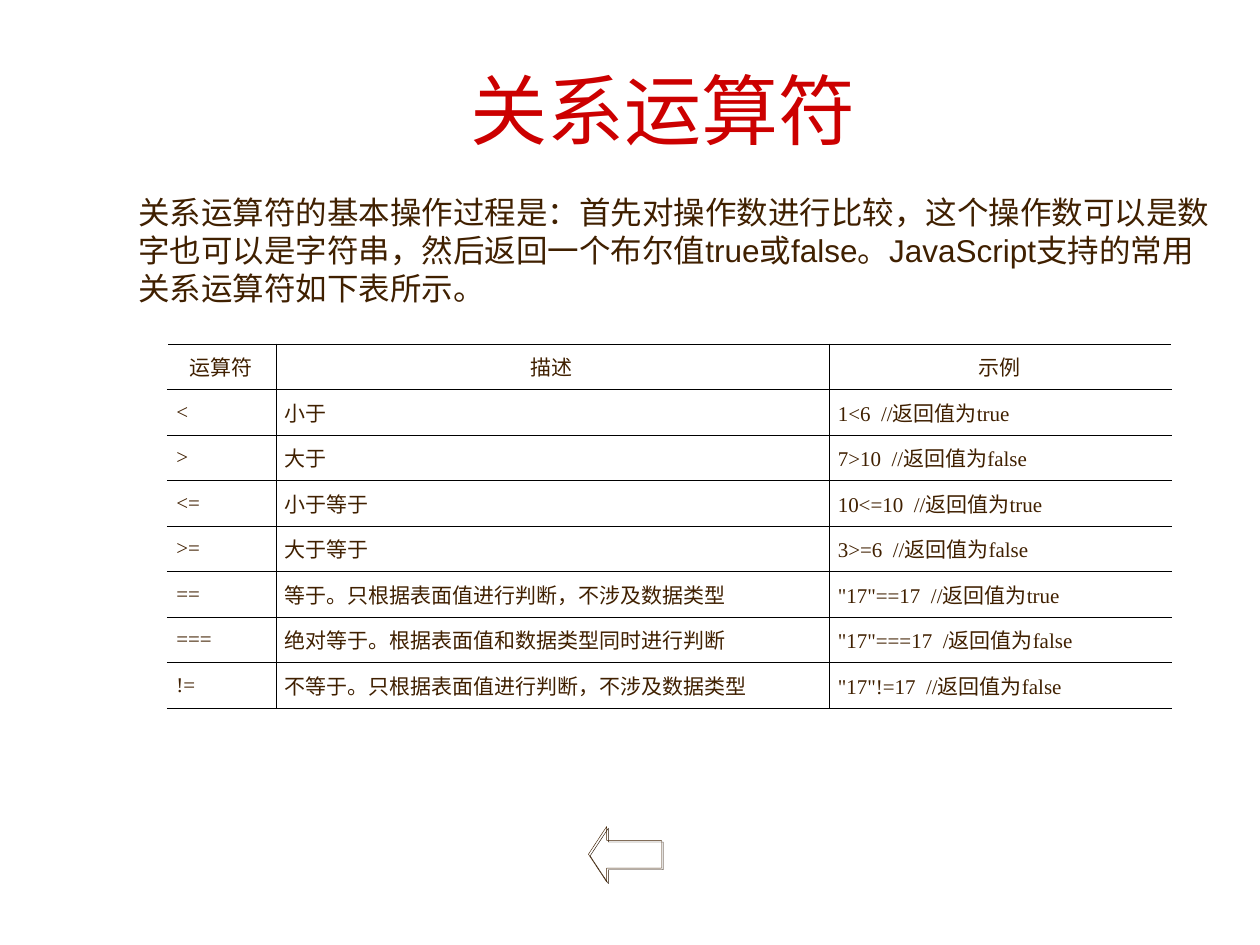
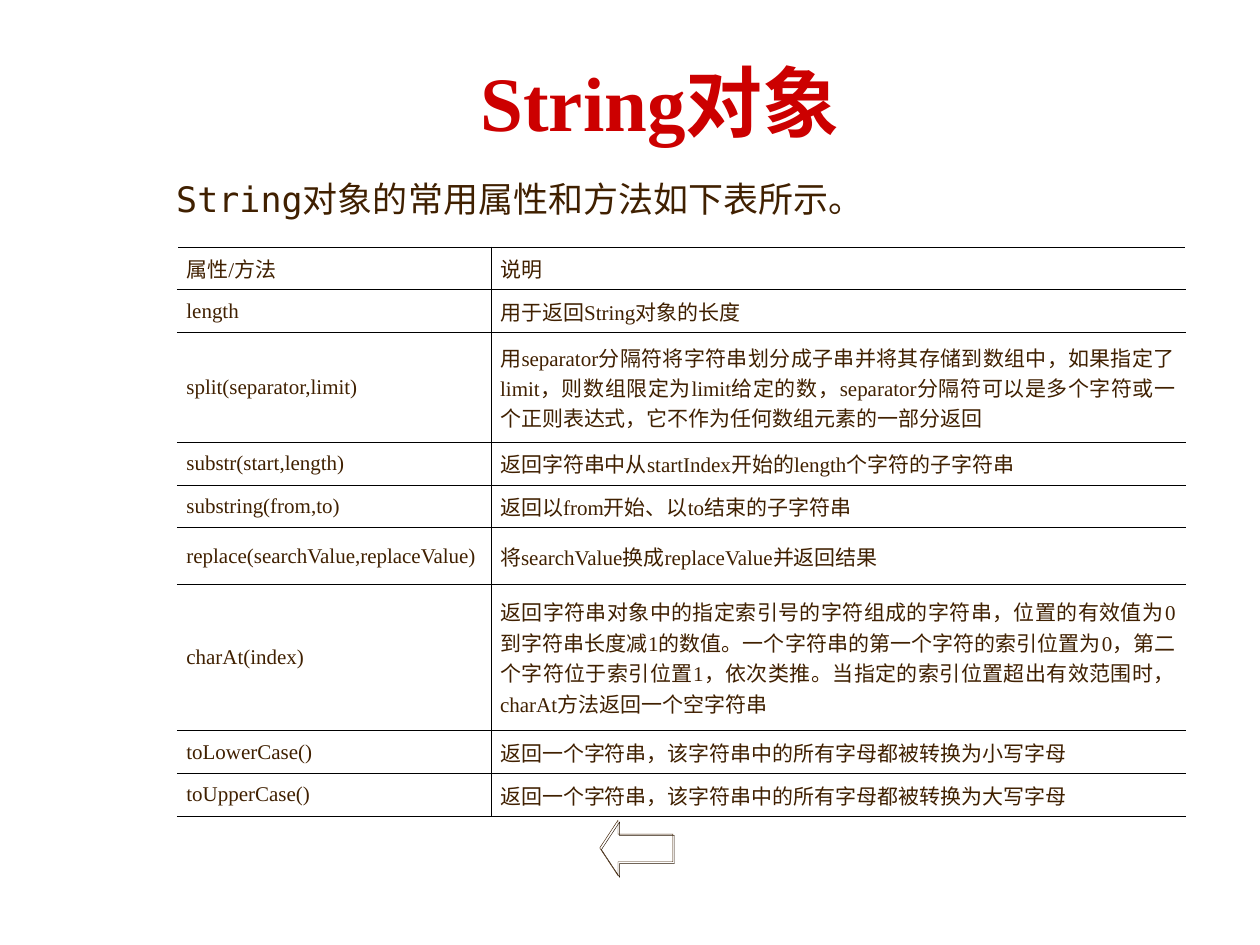
"""Build two slides of JavaScript reference tables."""
from lxml import etree
from pptx import Presentation
from pptx.dml.color import RGBColor
from pptx.enum.shapes import MSO_SHAPE
from pptx.enum.text import MSO_ANCHOR, PP_ALIGN
from pptx.oxml import parse_xml
from pptx.oxml.ns import nsdecls, qn
from pptx.util import Inches, Pt

LEFT_ARROW = MSO_SHAPE.LEFT_ARROW
MIDDLE, TOP = MSO_ANCHOR.MIDDLE, MSO_ANCHOR.TOP
LEFT, CENTER, JUSTIFY = PP_ALIGN.LEFT, PP_ALIGN.CENTER, PP_ALIGN.JUSTIFY

RED = RGBColor(0xCC, 0x00, 0x00)
BROWN = RGBColor(0x40, 0x20, 0x00)
SHADOW = RGBColor(0x26, 0x13, 0x00)
BLACK = RGBColor(0x00, 0x00, 0x00)

SERIF = "Times New Roman"
TITLE_FORMAT = {"name": SERIF, "size": Pt(44)}
CELL_FORMAT = {"name": SERIF, "size": Pt(12)}
CELL_MARGINS = {"margin_left": Inches(0.07), "margin_right": Inches(0.08),
                "margin_top": Inches(0.05), "margin_bottom": Inches(0.05)}
BODY_LINE_FACTOR = 1.21
BORDER_WIDTH = Pt(0.45)

OPERATORS = [
    ("运算符", "描述", "示例"),
    ("<", "小于", "1<6  //返回值为true"),
    (">", "大于", "7>10  //返回值为false"),
    ("<=", "小于等于", "10<=10  //返回值为true"),
    (">=", "大于等于", "3>=6  //返回值为false"),
    ("==", "等于。只根据表面值进行判断，不涉及数据类型", '"17"==17  //返回值为true'),
    ("===", "绝对等于。根据表面值和数据类型同时进行判断", '"17"===17  /返回值为false'),
    ("!=", "不等于。只根据表面值进行判断，不涉及数据类型", '"17"!=17  //返回值为false'),
]
OPERATORS_HEIGHT = 2.89
STRING_MEMBERS = [
    ("属性/方法", "说明"),
    ("length", "用于返回String对象的长度"),
    ("split(separator,limit)",
     "用separator分隔符将字符串划分成子串并将其存储到数组中，如果指定了limit，"
     "则数组限定为limit给定的数，separator分隔符可以是多个字符或一个正则表达式，"
     "它不作为任何数组元素的一部分返回"),
    ("substr(start,length)", "返回字符串中从startIndex开始的length个字符的子字符串"),
    ("substring(from,to)", "返回以from开始、以to结束的子字符串"),
    ("replace(searchValue,replaceValue)", "将searchValue换成replaceValue并返回结果"),
    ("charAt(index)",
     "返回字符串对象中的指定索引号的字符组成的字符串，位置的有效值为0到字符串长度减1的数值。"
     "一个字符串的第一个字符的索引位置为0，第二个字符位于索引位置1，依次类推。"
     "当指定的索引位置超出有效范围时，charAt方法返回一个空字符串"),
    ("toLowerCase()", "返回一个字符串，该字符串中的所有字母都被转换为小写字母"),
    ("toUpperCase()", "返回一个字符串，该字符串中的所有字母都被转换为大写字母"),
]


def set_all(target, values):
    """Set each attribute named in a dict of values."""
    for name, value in values.items():
        setattr(target, name, value)


def write(frame, text, color, font_format, align):
    """Write one formatted paragraph, without hanging punctuation."""
    para = frame.paragraphs[0]
    para.alignment = align
    para._p.get_or_add_pPr().set("hangingPunct", "0")
    span = para.add_run()
    span.text = text
    set_all(span.font, font_format)
    span.font.color.rgb = color
    return para


def add_text(page, place, text, color, font_format, align, anchor):
    """Add a wrapping text box and return its paragraph."""
    frame = page.shapes.add_textbox(*map(Inches, place)).text_frame
    set_all(frame, {"word_wrap": True, "vertical_anchor": anchor})
    return write(frame, text, color, font_format, align)


def add_title(page, left, top, text, bold=False):
    """Add the large red centred title."""
    add_text(page, (left, top, 8.52, 1.11), text, RED,
             {**TITLE_FORMAT, "bold": bold}, CENTER, MIDDLE)


def add_intro(page, place, text, font_name, size, align):
    """Add the introduction above the table."""
    para = add_text(page, place, text, BROWN,
                    {"name": font_name, "size": Pt(size)}, align, TOP)
    para.line_spacing = Pt(size * BODY_LINE_FACTOR)


def add_back_arrow(page, left, top):
    """Add the outlined arrow with its thin offset shadow."""
    arrow = page.shapes.add_shape(
        LEFT_ARROW, *map(Inches, (left, top, 0.58, 0.44)))
    arrow.adjustments[1] = 0.33
    arrow.fill.background()
    arrow.line.width = Pt(0.25)
    arrow.line.color.rgb = BROWN
    arrow.shadow.inherit = False
    effects = arrow.element.spPr.find(qn("a:effectLst"))
    effects.append(parse_xml(
        f'<a:outerShdw {nsdecls("a")} dist="{Pt(1.4)}" dir="2700000" '
        f'algn="ctr" rotWithShape="0"><a:srgbClr val="{SHADOW}"/></a:outerShdw>'))


def add_borders(cell, sides):
    """Draw thin solid lines on the given sides of a cell."""
    properties = cell._tc.get_or_add_tcPr()
    for side in sides:
        line = etree.SubElement(properties, qn(f"a:ln{side}"), w=str(BORDER_WIDTH))
        fill = etree.SubElement(line, qn("a:solidFill"))
        etree.SubElement(fill, qn("a:srgbClr"), val=str(BLACK))


def add_grid(page, left, top, widths, heights, rows, header_align):
    """Add a table that is open at its left and right edges."""
    table = page.shapes.add_table(
        len(rows), len(widths), Inches(left), Inches(top),
        Inches(sum(widths)), Inches(sum(heights))).table
    set_all(table, {"first_row": False, "horz_banding": False})
    for column, width in zip(table.columns, widths):
        column.width = Inches(width)
    for row_index, (height, texts) in enumerate(zip(heights, rows)):
        table.rows[row_index].height = Inches(height)
        align = JUSTIFY if row_index else header_align
        for column_index, text in enumerate(texts):
            cell = table.cell(row_index, column_index)
            set_all(cell, {**CELL_MARGINS, "vertical_anchor": MIDDLE})
            inner_left = "L" if column_index else ""
            inner_right = "R" if column_index < len(widths) - 1 else ""
            add_borders(cell, inner_left + inner_right + "TB")
            cell.fill.background()
            write(cell.text_frame, text, BROWN, CELL_FORMAT, align)


def add_page(deck):
    """Add a page on the blank layout."""
    return deck.slides.add_slide(deck.slide_layouts[6])


def build_operators(deck):
    """Build the slide about relational operators."""
    page = add_page(deck)
    add_intro(page, (1, 1.48, 8.72, 1),
              "关系运算符的基本操作过程是：首先对操作数进行比较，这个操作数可以是数字也可以是字符串，"
              "然后返回一个布尔值true或false。JavaScript支持的常用关系运算符如下表所示。",
              "Arial", 18, LEFT)
    add_back_arrow(page, 4.67, 6.56)
    add_title(page, 1, 0.31, "关系运算符")
    row_count = len(OPERATORS)
    add_grid(page, 1.33, 2.73, (0.86, 4.39, 2.72),
             [OPERATORS_HEIGHT / row_count] * row_count, OPERATORS, CENTER)


def build_string_object(deck):
    """Build the slide about the String object."""
    page = add_page(deck)
    add_intro(page, (1.3, 1.36, 8.11, 0.44), "String对象的常用属性和方法如下表所示。",
              "DejaVu Sans Mono", 20, JUSTIFY)
    add_back_arrow(page, 4.76, 6.51)
    add_title(page, 0.98, 0.24, "String对象", bold=True)
    add_grid(page, 1.41, 1.96, (2.49, 5.51),
             (0.34, 0.34, 0.87, 0.34, 0.34, 0.45, 1.16, 0.34, 0.34),
             STRING_MEMBERS, JUSTIFY)


def main():
    """Create the deck and save it."""
    deck = Presentation()
    set_all(deck, {"slide_width": Inches(10), "slide_height": Inches(7.5)})
    build_operators(deck)
    build_string_object(deck)
    deck.save("out.pptx")


if __name__ == "__main__":
    main()
